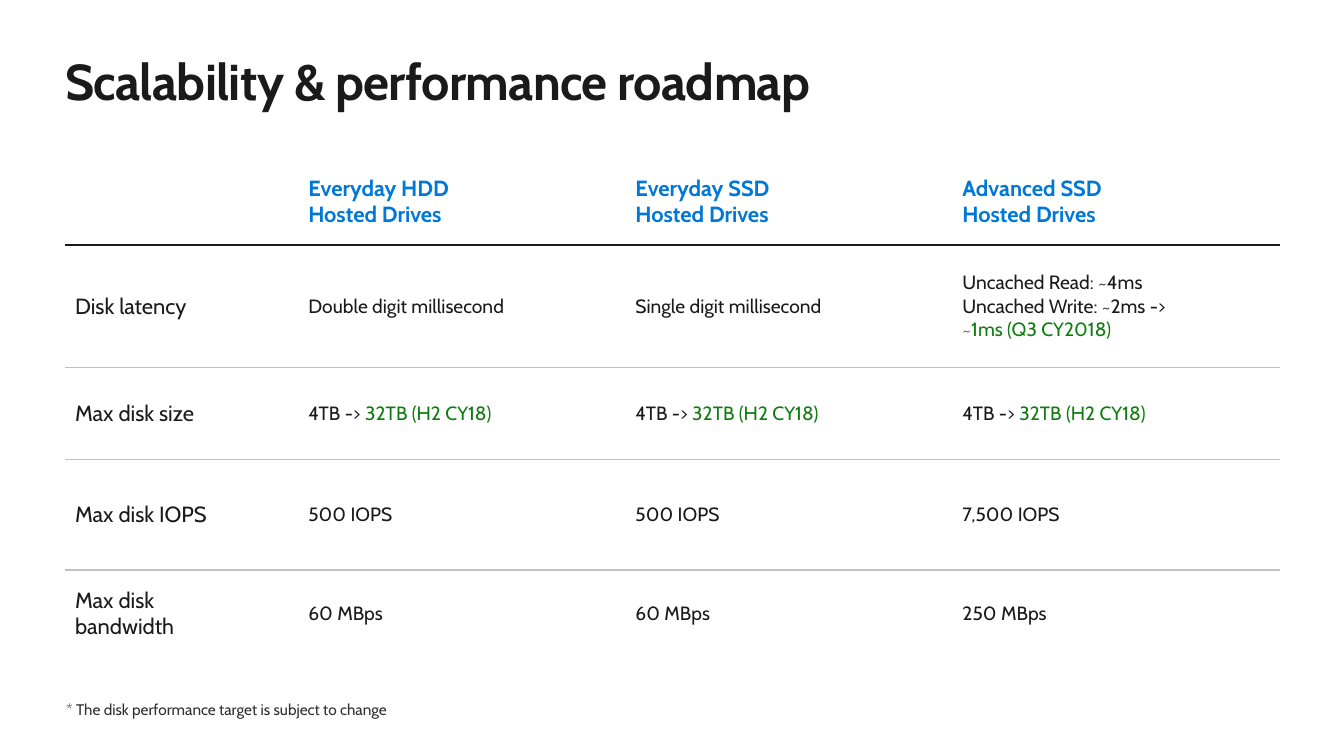
from copy import deepcopy

from lxml import etree
from pptx import Presentation
from pptx.dml.color import RGBColor
from pptx.enum.text import MSO_ANCHOR, MSO_AUTO_SIZE, PP_ALIGN
from pptx.oxml.ns import qn
from pptx.util import Inches, Pt

LEFT = PP_ALIGN.LEFT
TOP, MIDDLE = MSO_ANCHOR.TOP, MSO_ANCHOR.MIDDLE
GROW = MSO_AUTO_SIZE.SHAPE_TO_FIT_TEXT
TITLE_ONLY = 5
FONT = "Cabin"
COLOURS = {"ink": "1A1A1A", "header": "0078D7", "planned": "107C10",
           "rule": "BFBFBF", "note": "2F2F2F", "page": "FFFFFF"}
ARROW = "-> "
COLUMN_WIDTHS = [2.36, 3.31, 3.31, 3.31]
ROW_HEIGHTS = [0.88, 1.24, 0.93, 1.12, 0.88]
DISK_ROWS = [
    ["", "Everyday HDD\vHosted Drives", "Everyday SSD\vHosted Drives",
     "Advanced SSD\vHosted Drives"],
    ["Disk latency", "Double digit millisecond", "Single digit millisecond",
     "Uncached Read: ~4ms\nUncached Write: ~2ms -> \v~1ms (Q3 CY2018)"],
    ["Max disk size"] + ["4TB -> 32TB (H2 CY18)"] * 3,
    ["Max disk IOPS", "500 IOPS", "500 IOPS", "7,500 IOPS"],
    ["Max disk\vbandwidth", "60 MBps", "60 MBps", "250 MBps"],
]


def add_span(para, text, size, colour, bold, spacing):
    """Add formatted text to a paragraph, with a line break at each \\v."""
    for index, line in enumerate(text.split("\v")):
        if index:
            para.add_line_break()
        span = para.add_run()
        span.text = line
        span.font.name = FONT
        span.font.size = Pt(size)
        span.font.bold = bold
        span.font.color.rgb = RGBColor.from_string(COLOURS[colour])
        properties = span.font._element
        if spacing:
            properties.set("spc", str(round(spacing * 100)))
        if index:
            span._r.getprevious().append(deepcopy(properties))


def write(frame, text, size=14, colour="ink", bold=False, spacing=0,
          line_spacing=None, space_after=None):
    """Fill a text frame, colouring whatever follows an arrow as planned."""
    for index, line in enumerate(text.split("\n")):
        para = frame.add_paragraph() if index else frame.paragraphs[0]
        para.alignment = LEFT
        para.line_spacing = line_spacing
        para.space_after = space_after
        current, arrow, planned = line.partition(ARROW)
        add_span(para, current + arrow, size, colour, bold, spacing)
        if planned:
            add_span(para, planned, size, "planned", bold, spacing)


def set_margins(frame, across, down):
    """Set the horizontal and vertical insets of a text frame."""
    frame.margin_left = frame.margin_right = Inches(across)
    frame.margin_top = frame.margin_bottom = Inches(down)


def place(shape, left, top, width, height):
    """Move and size a shape, in inches."""
    shape.left, shape.top = Inches(left), Inches(top)
    shape.width, shape.height = Inches(width), Inches(height)


def set_border(cell, side, colour=None, width=1.5):
    """Draw one cell border, or clear it when no colour is given."""
    line = etree.SubElement(cell._tc.get_or_add_tcPr(), qn(f"a:ln{side}"))
    if colour:
        line.set("w", str(Pt(width)))
        fill = etree.SubElement(line, qn("a:solidFill"))
        etree.SubElement(fill, qn("a:srgbClr"), val=COLOURS[colour])
    else:
        line.set("w", "0")
        etree.SubElement(line, qn("a:noFill"))


def rule_below(row):
    """Return the colour of the rule under a row, or None at the table edges."""
    if row < 0 or row == len(DISK_ROWS) - 1:
        return None
    return "rule" if row else "ink"


def add_disk_table(page):
    """Add the comparison table of disk types."""
    holder = page.shapes.add_table(len(ROW_HEIGHTS), len(COLUMN_WIDTHS), Inches(0.66),
                                   Inches(1.6), Inches(12.29), Inches(5.05))
    table = holder.table
    table.first_row = table.horz_banding = False
    for column, width in zip(table.columns, COLUMN_WIDTHS):
        column.width = Inches(width)
    for row, height in zip(table.rows, ROW_HEIGHTS):
        row.height = Inches(height)
    for row, texts in enumerate(DISK_ROWS):
        for column, text in enumerate(texts):
            cell = table.cell(row, column)
            cell.vertical_anchor = MIDDLE
            set_margins(cell, 0.1, 0.05)
            for side, colour in (("L", None), ("R", None),
                                 ("T", rule_below(row - 1)), ("B", rule_below(row))):
                set_border(cell, side, colour)
            cell.fill.background()
            if text:
                is_header = row == 0
                write(cell.text_frame, text, bold=is_header,
                      size=16 if is_header or column == 0 else 14,
                      colour="header" if is_header else "ink")


def add_title(page):
    """Format the title placeholder."""
    title = page.shapes.title
    place(title, 0.66, 0.51, 12.29, 0.62)
    frame = title.text_frame
    set_margins(frame, 0, 0)
    frame.vertical_anchor = TOP
    frame.auto_size = GROW
    write(frame, "Scalability & performance roadmap", size=36.7, bold=True, spacing=-0.5)


def add_footnote(page):
    """Add the note below the table."""
    box = page.shapes.add_textbox(Inches(0.47), Inches(7.02), Inches(4.22), Inches(0.51))
    frame = box.text_frame
    frame.word_wrap = True
    frame.auto_size = GROW
    set_margins(frame, 0.2, 0.16)
    write(frame, "* The disk performance target is subject to change", size=11.2,
          colour="note", line_spacing=0.9, space_after=Pt(6))


def main():
    """Build and save the slide."""
    deck = Presentation()
    deck.slide_width, deck.slide_height = Inches(13.6), Inches(7.65)
    page = deck.slides.add_slide(deck.slide_layouts[TITLE_ONLY])
    page.background.fill.solid()
    page.background.fill.fore_color.rgb = RGBColor.from_string(COLOURS["page"])
    add_title(page)
    add_disk_table(page)
    add_footnote(page)
    deck.save("out.pptx")


if __name__ == "__main__":
    main()
